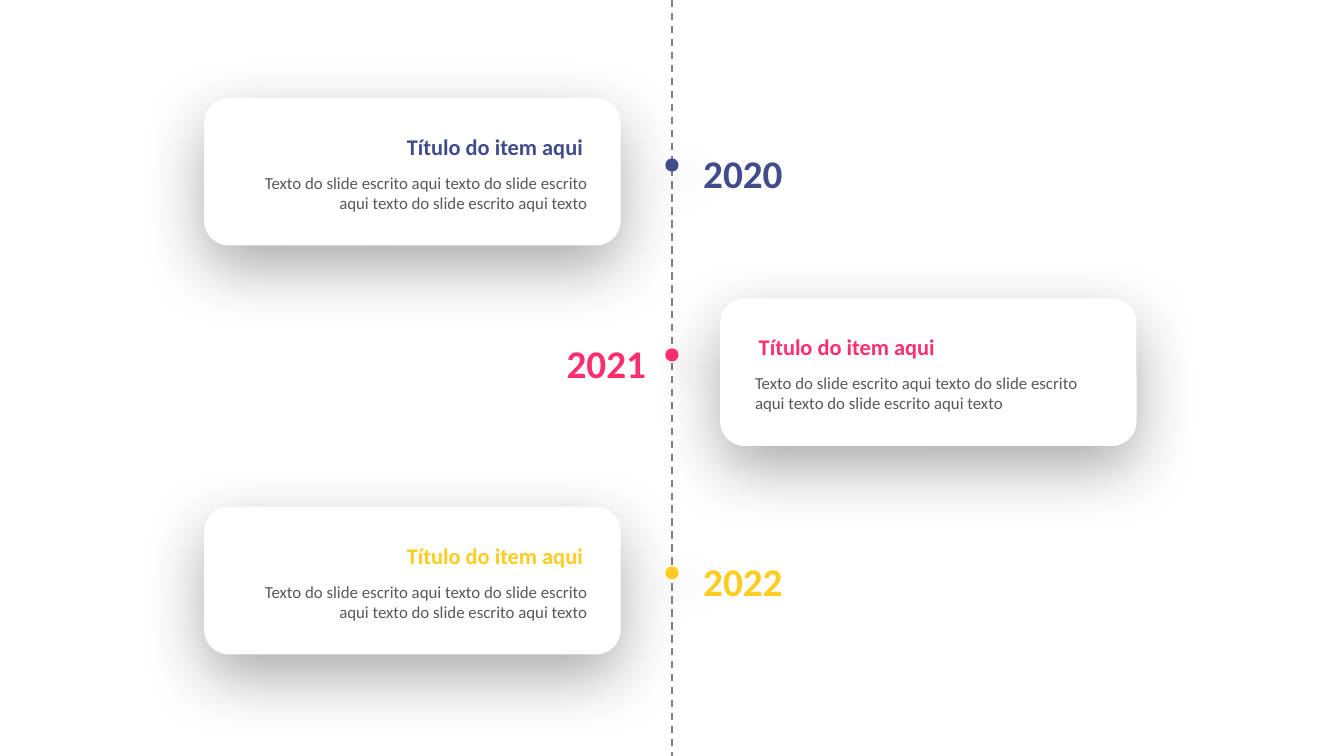
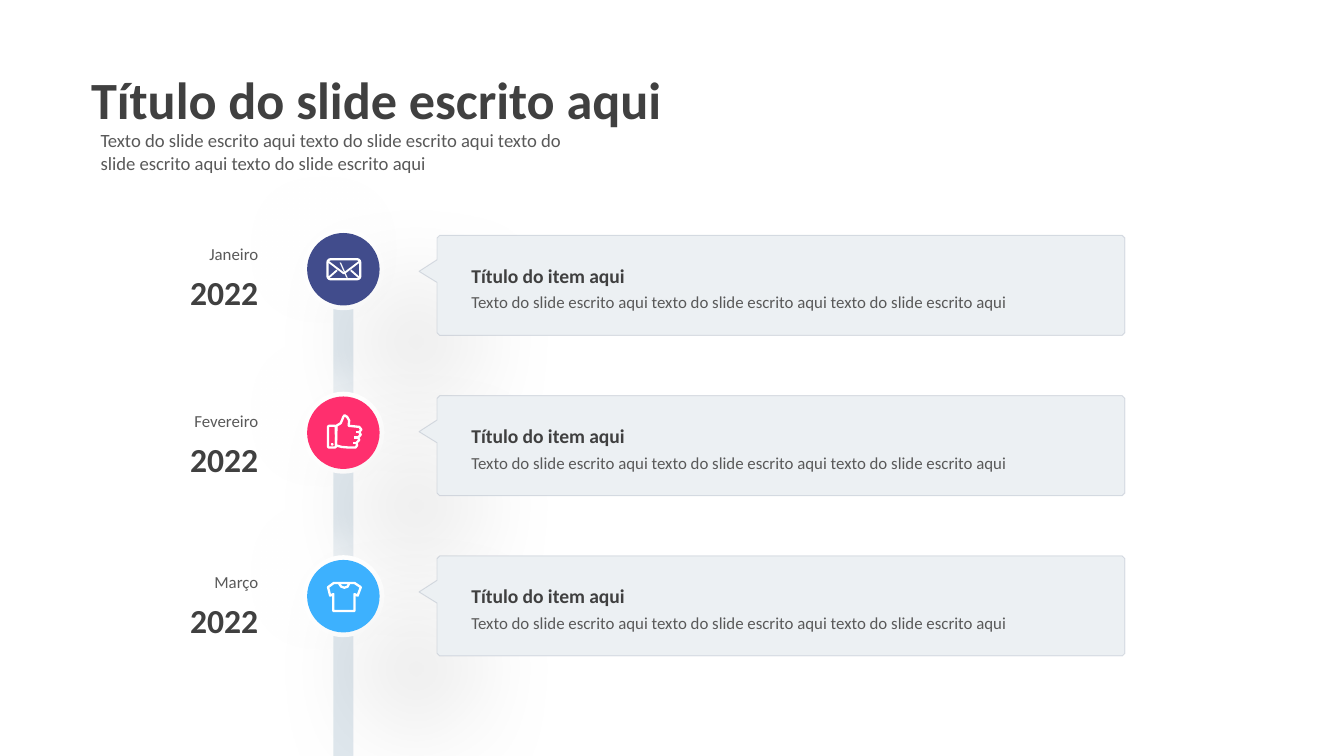
from pptx import Presentation
from pptx.dml.color import RGBColor
from pptx.enum.dml import MSO_LINE
from pptx.enum.shapes import MSO_CONNECTOR, MSO_SHAPE
from pptx.enum.text import MSO_ANCHOR, MSO_AUTO_SIZE, PP_ALIGN
from pptx.oxml.ns import qn
from pptx.util import Cm, Pt
from lxml import etree

RECT, ROUND, OVAL = MSO_SHAPE.RECTANGLE, MSO_SHAPE.ROUNDED_RECTANGLE, MSO_SHAPE.OVAL
LEFT, CENTER, RIGHT = PP_ALIGN.LEFT, PP_ALIGN.CENTER, PP_ALIGN.RIGHT
TOP, MIDDLE = MSO_ANCHOR.TOP, MSO_ANCHOR.MIDDLE
GROW, FIXED = MSO_AUTO_SIZE.SHAPE_TO_FIT_TEXT, MSO_AUTO_SIZE.NONE
STRAIGHT, DASH = MSO_CONNECTOR.STRAIGHT, MSO_LINE.DASH

FONT = "Calibri"
WIDTH, HEIGHT = 25.4, 14.29
COLORS = {
    "white": "FFFFFF", "black": "000000", "navy": "414C8C", "pink": "FF2F6E",
    "yellow": "FFCC1F", "sky": "3DB1FE", "dark": "404040", "text": "595959",
    "axis": "808080", "bar": "E0E8EE", "panel": "ECF0F3", "edge": "2C4166",
}
WIDE, TIGHT = (0.25, 0.13), (0.18, 0.1)
CARD_SHADOW = ("black", 32, 35, 12, 90)
DOT_SHADOW = ("black", 23, 20, 10, 45)
RIM_SHADOW = ("white", 50, 20, 15, 225)
DISC_SHADOW = ("black", 25, 63, 55, 45)

PHRASE = "Texto do slide escrito aqui"
ITEM_TITLE = "Título do item aqui"


def repeated(count):
    """Join the sample phrase with itself, capitalised only once."""
    return " ".join([PHRASE] + [PHRASE.lower()] * (count - 1))


class Deck:
    """Hold the style and the current slide, and draw each kind of element."""

    def __init__(self):
        self.prs = Presentation()
        self.prs.slide_width, self.prs.slide_height = Cm(WIDTH), Cm(HEIGHT)
        self.s = None

    def color(self, name):
        return RGBColor.from_string(COLORS[name])

    def new_slide(self, layout):
        self.s = self.prs.slides.add_slide(self.prs.slide_layouts[layout])

    def paint(self, sp, fill=None, line=None, width=1, alpha=None):
        sp.shadow.inherit = False
        if fill:
            sp.fill.solid()
            sp.fill.fore_color.rgb = self.color(fill)
        else:
            sp.fill.background()
        if line:
            sp.line.color.rgb = self.color(line)
            sp.line.width = Pt(width)
            if alpha:
                clr = sp._element.spPr.find(".//" + qn("a:ln")).find(".//" + qn("a:srgbClr"))
                etree.SubElement(clr, qn("a:alpha"), val=str(alpha * 1000))
        else:
            sp.line.fill.background()

    def cast(self, sp, color, alpha, blur, dist, angle):
        effects = sp._element.spPr.find(qn("a:effectLst"))
        shadow = etree.SubElement(
            effects, qn("a:outerShdw"), blurRad=str(Pt(blur)), dist=str(Pt(dist)),
            dir=str(angle * 60000), algn="ctr", rotWithShape="0")
        clr = etree.SubElement(shadow, qn("a:srgbClr"), val=COLORS[color])
        etree.SubElement(clr, qn("a:alpha"), val=str(alpha * 1000))

    def shape(self, kind, x, y, w, h, fill=None, shadow=None, **line):
        sp = self.s.shapes.add_shape(kind, Cm(x), Cm(y), Cm(w), Cm(h))
        self.paint(sp, fill, **line)
        if shadow:
            self.cast(sp, *shadow)
        return sp

    def circle(self, cx, cy, size, fill, shadow=None):
        return self.shape(OVAL, cx - size / 2, cy - size / 2, size, size, fill, shadow)

    def outline(self, x, y, closed=(), strokes=(), **style):
        contours = [(c, True) for c in closed] + [(c, False) for c in strokes]
        contours = [([(Cm(x + dx), Cm(y + dy)) for dx, dy in c], close)
                    for c, close in contours]
        fb = self.s.shapes.build_freeform(*contours[0][0][0])
        for i, (points, close) in enumerate(contours):
            if i:
                fb.move_to(*points[0])
            fb.add_line_segments(points[1:], close=close)
        self.paint(fb.convert_to_shape(), **style)

    def line(self, x1, y1, x2, y2, color):
        cn = self.s.shapes.add_connector(STRAIGHT, Cm(x1), Cm(y1), Cm(x2), Cm(y2))
        cn.line.color.rgb = self.color(color)
        cn.line.width = Pt(1)
        cn.line.dash_style = DASH
        etree.SubElement(cn._element.spPr, qn("a:effectLst"))

    def set_text(self, tf, text, size, color, bold=False, align=LEFT, spacing=1.0,
                 insets=WIDE, anchor=TOP, fit=GROW):
        tf.word_wrap = True
        tf.auto_size = fit
        tf.vertical_anchor = anchor
        tf.margin_left = tf.margin_right = Cm(insets[0])
        tf.margin_top = tf.margin_bottom = Cm(insets[1])
        p = tf.paragraphs[0]
        p.alignment, p.line_spacing, p.space_before = align, spacing, Pt(0)
        r = p.add_run()
        r.text = text
        r.font.name, r.font.size, r.font.bold = FONT, Pt(size), bold
        r.font.color.rgb = self.color(color)

    def text(self, x, y, w, h, text, size, color, **style):
        sp = self.s.shapes.add_textbox(Cm(x), Cm(y), Cm(w), Cm(h))
        self.set_text(sp.text_frame, text, size, color, **style)

    def heading(self, x, y, w, h, text, size, color, **style):
        self.text(x, y, w, h, text, size, color, bold=True, spacing=1.4, **style)

    def placeholder(self, index, x, y, w, h, text, size, color, bold=False):
        sp = self.s.placeholders[index]
        sp.left, sp.top, sp.width, sp.height = Cm(x), Cm(y), Cm(w), Cm(h)
        if index:
            pPr = sp.text_frame.paragraphs[0]._p.get_or_add_pPr()
            pPr.set("marL", "0")
            pPr.set("indent", "0")
            etree.SubElement(pPr, qn("a:buNone"))
        self.set_text(sp.text_frame, text, size, color, bold=bold, fit=FIXED)


def envelope(deck, x, y):
    """Draw a white envelope centred on a point."""
    sp = deck.shape(ROUND, x - 0.31, y - 0.19, 0.62, 0.38, line="white", width=1.25)
    deck.set_text(sp.text_frame, "\\", 11.2, "white", align=CENTER,
                  insets=(0.05, 0.05), anchor=MIDDLE, fit=FIXED)
    deck.outline(x, y, strokes=[
        [(-0.29, -0.14), (0, 0.08), (0.29, -0.14)],
        [(-0.29, 0.16), (-0.13, 0.02)],
        [(0.29, 0.16), (0.13, 0.02)],
    ], line="white", width=1)


def thumb(deck, x, y):
    """Draw a white raised thumb centred on a point."""
    hand = [(-0.14, -0.13), (-0.06, -0.18), (-0.03, -0.25), (-0.01, -0.3),
            (0.01, -0.33), (0.06, -0.3), (0.1, -0.23), (0.09, -0.13),
            (0.29, -0.11), (0.33, -0.06), (0.29, -0.01), (0.32, 0.04),
            (0.27, 0.09), (0.29, 0.14), (0.24, 0.19), (0.25, 0.24),
            (0.22, 0.28), (0.09, 0.28), (-0.04, 0.27), (-0.15, 0.24)]
    fingers = [[(fx, fy), (fx + 0.07, fy)]
               for fx, fy in ((0.22, -0.01), (0.2, 0.09), (0.17, 0.19))]
    deck.outline(x, y, [hand], fingers, line="white", width=1.25)
    deck.shape(ROUND, x - 0.3, y - 0.13, 0.15, 0.41, line="white", width=1.25)
    deck.circle(x - 0.22, y + 0.22, 0.05, "white")


def shirt(deck, x, y):
    """Draw a white shirt centred on a point."""
    body = [(-0.19, -0.25), (-0.3, -0.17), (-0.26, -0.01), (-0.2, -0.04),
            (-0.2, 0.28), (0.2, 0.28), (0.2, -0.04), (0.26, -0.01),
            (0.32, -0.17), (0.2, -0.25)]
    collar = [(-0.09, -0.24), (-0.05, -0.18), (0.01, -0.16), (0.07, -0.18), (0.1, -0.24)]
    deck.outline(x, y, [body], [collar], line="white", width=1.25)


def years_slide(deck):
    """Build the timeline whose cards alternate around a dashed axis."""
    deck.new_slide(6)
    axis = WIDTH / 2
    events = [("2020", "navy", 1.85, 3.12, True),
              ("2021", "pink", 5.64, 6.71, False),
              ("2022", "yellow", 9.58, 10.83, True)]
    deck.line(axis, 0, axis, HEIGHT, "axis")
    for year, color, top, dot, on_left in events:
        card_x, year_x = (3.86, 13.11) if on_left else (13.61, 9.27)
        card_align, year_align = (RIGHT, LEFT) if on_left else (LEFT, RIGHT)
        deck.shape(ROUND, card_x, top, 7.87, 2.79, "white", CARD_SHADOW)
        deck.text(card_x + 0.48, top + 1.31, 6.93, 0.97, repeated(3) + " texto",
                  9, "text", align=card_align, insets=TIGHT)
        deck.heading(card_x + 0.48, top + 0.33, 6.93, 0.91, ITEM_TITLE, 12, color,
                     align=card_align)
        deck.circle(axis, dot, 0.25, color, DOT_SHADOW)
        deck.heading(year_x, dot - 0.75, 3.12, 1.37, year, 21, color,
                     align=year_align, insets=TIGHT)


def months_slide(deck):
    """Build the monthly timeline with icons and callout panels."""
    deck.new_slide(1)
    deck.placeholder(0, 1.47, 1.14, 15.47, 1.45, "Título do slide escrito aqui",
                     28, "dark", bold=True)
    deck.placeholder(1, 1.65, 2.31, 9.68, 1.12, repeated(4), 10, "text")
    axis = 6.49
    deck.shape(RECT, axis - 0.19, 4.44, 0.38, HEIGHT - 4.44, "bar")
    panel = [(0.39, 0), (13.29, 0), (13.34, 0.05), (13.34, 1.84), (13.29, 1.89),
             (0.39, 1.89), (0.34, 1.84), (0.34, 0.89), (0, 0.68), (0.34, 0.46),
             (0.34, 0.05)]
    months = [("Janeiro", "navy", envelope, 4.32),
              ("Fevereiro", "pink", thumb, 7.49),
              ("Março", "sky", shirt, 10.52)]
    for i, (month, color, icon, label) in enumerate(months):
        center, top = 5.09 + 3.09 * i, 4.45 + 3.03 * i
        deck.circle(axis, center, 1.55, "white", RIM_SHADOW)
        deck.circle(axis, center, 1.37, color, DISC_SHADOW)
        icon(deck, axis + 0.01, center)
        deck.heading(2.01, label + 0.38, 3.12, 1.24, "2022", 18, "dark", align=RIGHT)
        deck.text(2.29, label, 2.84, 0.76, month, 9, "text", align=RIGHT, spacing=1.4)
        deck.outline(7.92, top, [panel], fill="panel", line="edge", width=0.5, alpha=15)
        deck.text(8.66, top + 0.94, 12.42, 0.64, repeated(3), 9, "text")
        deck.heading(8.66, top + 0.23, 12.14, 0.84, ITEM_TITLE, 10.5, "dark")


def main():
    """Build both slides and save the deck."""
    deck = Deck()
    years_slide(deck)
    months_slide(deck)
    deck.prs.save("out.pptx")


if __name__ == "__main__":
    main()
